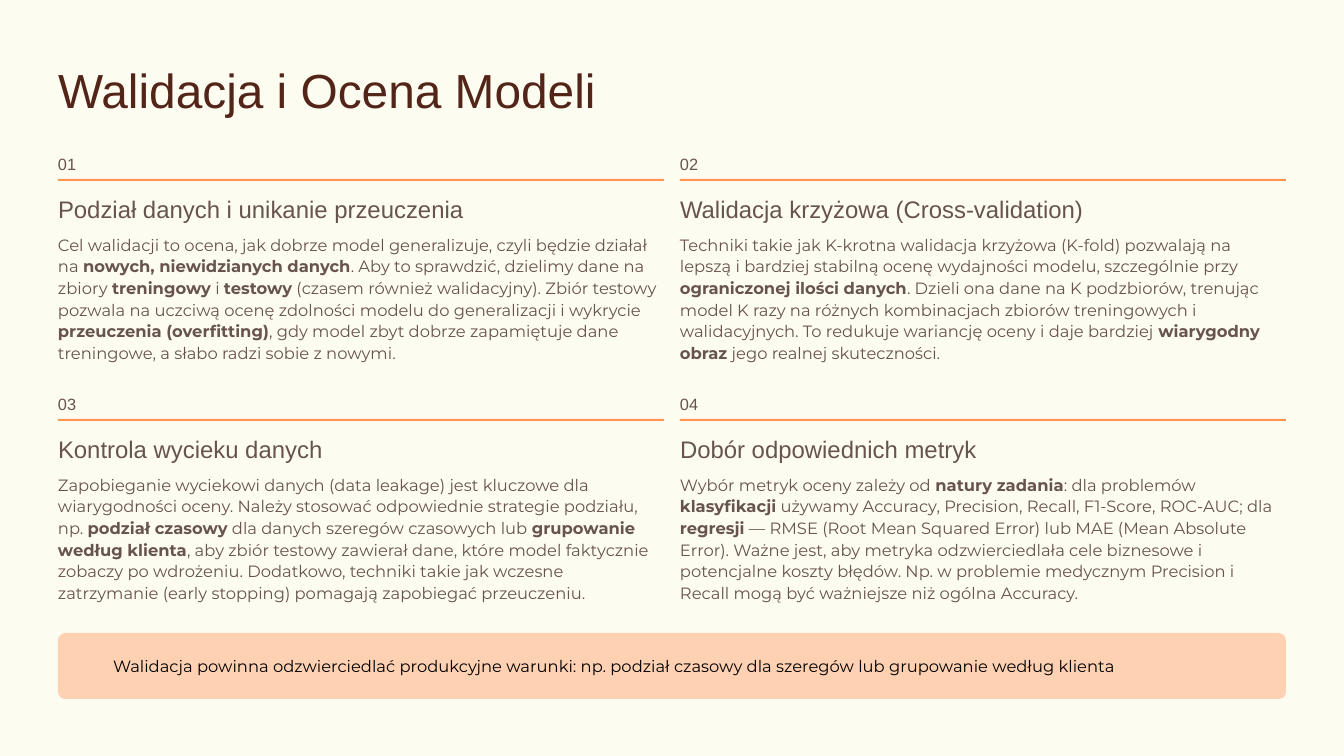
"""Build the slide on validating and evaluating models."""
from pptx import Presentation
from pptx.dml.color import RGBColor
from pptx.enum.shapes import MSO_SHAPE as Shape
from pptx.enum.text import MSO_ANCHOR as Anchor, MSO_AUTO_SIZE as AutoSize, PP_ALIGN as Align
from pptx.util import Emu, Pt

PX = 914400 / 84
PAPER, TITLE, TEXT, ORANGE, PEACH, BLACK = (
    "FDFCF0", "532418", "67534F", "FF954F", "FFD1B3", "000000")
HEAD_FONT, BODY_FONT = "Arial", "Montserrat"
LEFT, TOP, COLUMN_STEP, ROW_STEP, COLUMN_WIDTH = 58, 152, 622, 240, 606

SECTIONS = [
    ("Podział danych i unikanie przeuczenia",
     "Cel walidacji to ocena, jak dobrze model generalizuje, czyli będzie działał na "
     "**nowych, niewidzianych danych**. Aby to sprawdzić, dzielimy dane na zbiory "
     "**treningowy** i **testowy** (czasem również walidacyjny). Zbiór testowy pozwala na "
     "uczciwą ocenę zdolności modelu do generalizacji i wykrycie **przeuczenia "
     "(overfitting)**, gdy model zbyt dobrze zapamiętuje dane treningowe, a słabo radzi "
     "sobie z nowymi."),
    ("Walidacja krzyżowa (Cross-validation)",
     "Techniki takie jak K-krotna walidacja krzyżowa (K-fold) pozwalają na lepszą i "
     "bardziej stabilną ocenę wydajności modelu, szczególnie przy **ograniczonej ilości "
     "danych**. Dzieli ona dane na K podzbiorów, trenując model K razy na różnych "
     "kombinacjach zbiorów treningowych i walidacyjnych. To redukuje wariancję oceny i "
     "daje bardziej **wiarygodny obraz** jego realnej skuteczności."),
    ("Kontrola wycieku danych",
     "Zapobieganie wyciekowi danych (data leakage) jest kluczowe dla wiarygodności oceny. "
     "Należy stosować odpowiednie strategie podziału, np. **podział czasowy** dla danych "
     "szeregów czasowych lub **grupowanie według klienta**, aby zbiór testowy zawierał "
     "dane, które model faktycznie zobaczy po wdrożeniu. Dodatkowo, techniki takie jak "
     "wczesne zatrzymanie (early stopping) pomagają zapobiegać przeuczeniu."),
    ("Dobór odpowiednich metryk",
     "Wybór metryk oceny zależy od **natury zadania**: dla problemów **klasyfikacji** "
     "używamy Accuracy, Precision, Recall, F1-Score, ROC-AUC; dla **regresji** — RMSE "
     "(Root Mean Squared Error) lub MAE (Mean Absolute Error). Ważne jest, aby metryka "
     "odzwierciedlała cele biznesowe i potencjalne koszty błędów. Np. w problemie "
     "medycznym Precision i Recall mogą być ważniejsze niż ogólna Accuracy."),
]
CONCLUSION = ("Walidacja powinna odzwierciedlać produkcyjne warunki: np. podział czasowy "
              "dla szeregów lub grupowanie według klienta")


def px(*lengths):
    """Turn pixel lengths into EMU."""
    return [Emu(round(length * PX)) for length in lengths]


def paint(fill, color):
    """Give a fill a solid hex colour."""
    fill.solid()
    fill.fore_color.rgb = RGBColor.from_string(color)


def write(box, text, font, size, leading, color, wrap=False):
    """Write one paragraph, with bold between double asterisks."""
    frame = box.text_frame
    frame.margin_left = frame.margin_top = frame.margin_right = frame.margin_bottom = 0
    frame.word_wrap = wrap
    frame.auto_size = AutoSize.NONE
    frame.vertical_anchor = Anchor.TOP
    para = frame.paragraphs[0]
    para.alignment = Align.LEFT
    para.line_spacing = Pt(leading)
    para.font.name, para.font.size = font, Pt(size)
    para.font.color.rgb = RGBColor.from_string(color)
    for index, part in enumerate(text.split("**")):
        span = para.add_run()
        span.text = part
        if index % 2:
            span.font.bold = True


def add_title(page, text):
    """Place and fill the title placeholder."""
    title = page.shapes.title
    title.left, title.top, title.width, title.height = px(LEFT, 56, 559, 62)
    write(title, text, HEAD_FONT, 41, 53, TITLE)


def add_text(page, place, *style, wrap=False):
    """Add a text box."""
    write(page.shapes.add_textbox(*px(*place)), *style, wrap=wrap)


def add_block(page, kind, place, color):
    """Add a filled shape without outline."""
    block = page.shapes.add_shape(kind, *px(*place))
    block.shadow.inherit = False
    paint(block.fill, color)
    block.line.fill.background()
    return block


def add_section(page, number, heading, body):
    """Add a numbered section in its grid cell."""
    row, column = divmod(number - 1, 2)
    x, y = LEFT + column * COLUMN_STEP, TOP + row * ROW_STEP
    add_text(page, (x, y, 17, 22), f"{number:02}", HEAD_FONT, 14, 18.5, TEXT)
    add_block(page, Shape.RECTANGLE, (x, y + 27, COLUMN_WIDTH, 2), ORANGE)
    add_text(page, (x, y + 40, 407, 31), heading, HEAD_FONT, 20.5, 26.5, TEXT)
    add_text(page, (x, y + 81, COLUMN_WIDTH, 130), body, BODY_FONT, 14, 18.5, TEXT, wrap=True)


def add_conclusion(page, text):
    """Add the closing banner."""
    banner = add_block(page, Shape.ROUNDED_RECTANGLE,
                       (LEFT, 633, COLUMN_STEP + COLUMN_WIDTH, 66), PEACH)
    banner.adjustments[0] = 0.11
    add_text(page, (113, 654, 1157, 22), text, BODY_FONT, 14, 18.5, BLACK)


def main():
    """Build and save the deck."""
    deck = Presentation()
    deck.slide_width, deck.slide_height = px(1344, 756)
    page = deck.slides.add_slide(deck.slide_layouts[5])
    paint(page.background.fill, PAPER)
    add_title(page, "Walidacja i Ocena Modeli")
    for number, (heading, body) in enumerate(SECTIONS, 1):
        add_section(page, number, heading, body)
    add_conclusion(page, CONCLUSION)
    deck.save("out.pptx")


if __name__ == "__main__":
    main()
